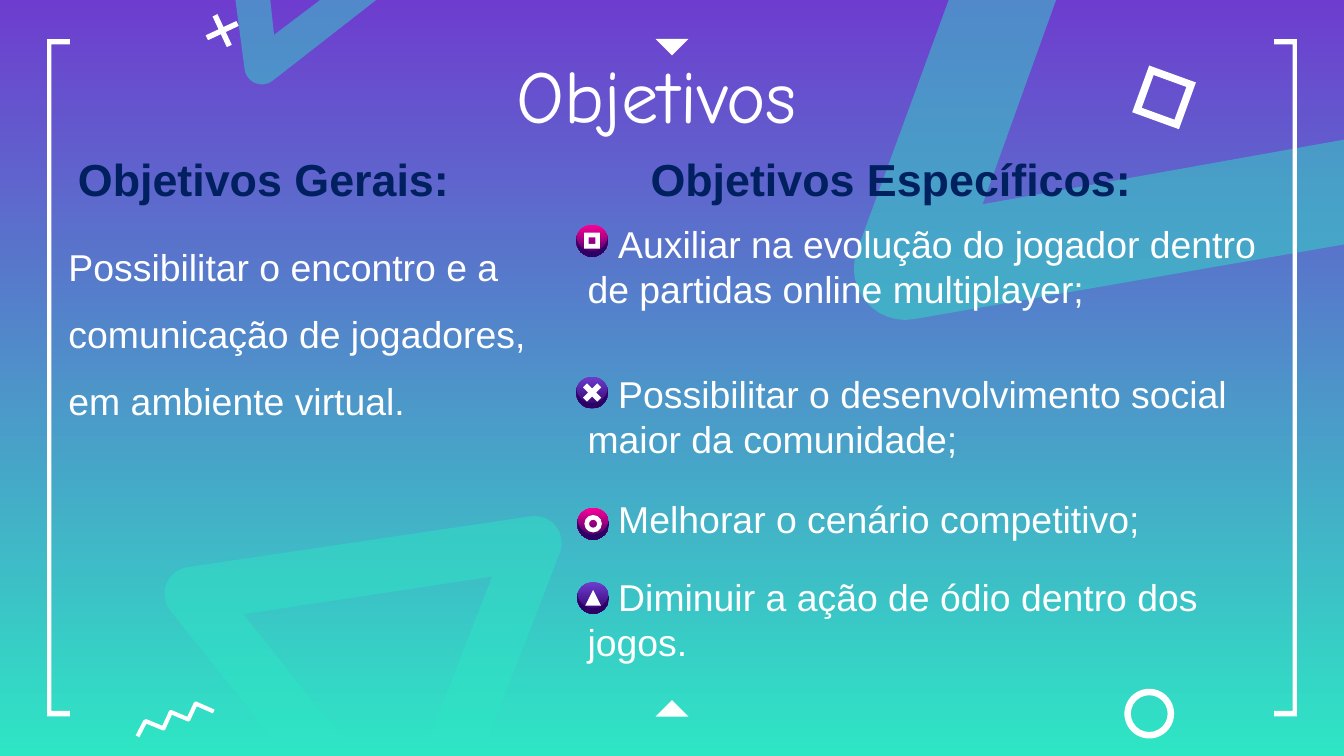
import math
from dataclasses import dataclass

from pptx import Presentation
from pptx import util as u
from pptx.dml.color import RGBColor
from pptx.enum import shapes, text
from pptx.oxml import ns, xmlchemy

WHITE = RGBColor(0xFF, 0xFF, 0xFF)
NAVY = RGBColor(0x00, 0x20, 0x60)
PURPLE = RGBColor(0x6E, 0x3D, 0xCF)
AQUA = RGBColor(0x2E, 0xE6, 0xC4)
PINK = RGBColor(0xFF, 0x00, 0x98)
DARK = RGBColor(0x2D, 0x00, 0x66)
WIDTH, HEIGHT = 25.4, 14.29
BADGE_RADIUS = 0.3
Preset = shapes.MSO_SHAPE


@dataclass
class Mark:
    """A white preset shape, placed by its centre (cm)."""
    kind: Preset
    x: float
    y: float
    width: float
    height: float
    turn: float = 0
    adjust: float | None = None


@dataclass
class Objective:
    wording: str
    space_before: float
    x: float
    y: float
    top_color: RGBColor
    glyph: Preset
    size: float
    turn: float = 0
    adjust: float | None = None


@dataclass
class TextStyle:
    size: float
    color: RGBColor = WHITE
    font: str = "Arial"
    bold: bool = False
    spacing: float | u.Pt = 1.0
    indent: float = 0
    align: text.PP_ALIGN = text.PP_ALIGN.LEFT


MARKS = [
    Mark(Preset.ISOSCELES_TRIANGLE, WIDTH / 2, 0.89, 0.62, 0.31, 180),
    Mark(Preset.ISOSCELES_TRIANGLE, WIDTH / 2, 13.39, 0.62, 0.31),
    Mark(Preset.FRAME, 22, 1.84, 0.94, 0.94, 20, 0.15),
    Mark(Preset.CROSS, 4.2, 0.58, 0.64, 0.64, 335, 0.42),
    Mark(Preset.DONUT, 21.72, 13.49, 0.94, 0.94, 0, 0.13),
]
OBJECTIVES = [
    Objective("Auxiliar na evolução do jogador dentro de partidas online multiplayer;",
              0, 11.19, 4.55, PINK, Preset.FRAME, 0.3, 0, 0.29),
    Objective("Possibilitar o desenvolvimento social maior da comunidade;",
              32, 11.19, 7.42, PURPLE, Preset.CROSS, 0.38, 45, 0.36),
    Objective("Melhorar o cenário competitivo;",
              19, 11.21, 9.9, PINK, Preset.DONUT, 0.33, 0, 0.27),
    Objective("Diminuir a ação de ódio dentro dos jogos.",
              18, 11.21, 11.3, PURPLE, Preset.ISOSCELES_TRIANGLE, 0.3),
]
# Corners are (x, y) or, when rounded, (x, y, radius)
GLASS_TRIANGLES = [
    [(2.67, 10.85, 0.51), (10.9, 9.63, 0.51), (9.09, HEIGHT), (7.98, HEIGHT),
     (9.3, 10.9), (4.6, 11.61), (6.73, HEIGHT), (5.41, HEIGHT)],
    [(17.93, 0), (15.62, 6.32, 0.97), (WIDTH, 4.62), (WIDTH, 2.64),
     (18.57, 3.86), (19.96, 0)],
    [(4.45, 0), (4.7, 1.88, 0.33), (7.11, 0), (6.05, 0), (5.18, 0.66), (5.11, 0)],
]
BRACKET = [(0.89, 0.74), (0.89, 13.54), (1.32, 13.54), (1.32, 13.44),
           (0.97, 13.44), (0.97, 0.84), (1.32, 0.84), (1.32, 0.74)]
ZIGZAG = [(2.6, 13.92), (2.75, 13.63), (3.09, 13.77), (3.23, 13.46),
          (3.56, 13.6), (3.7, 13.3), (4.04, 13.45)]


def round_corners(corners: list[tuple], steps: int = 12) -> list[tuple]:
    """Replace every corner that has a radius by points on a tangent arc."""
    points = []
    for i, (x, y, *radius) in enumerate(corners):
        if not radius:
            points.append((x, y))
            continue
        before, after = corners[i - 1], corners[(i + 1) % len(corners)]
        a = math.atan2(before[1] - y, before[0] - x)
        b = math.atan2(after[1] - y, after[0] - x)
        opening = math.remainder(b - a, math.tau)
        middle = a + opening / 2
        reach = radius[0] / math.sin(abs(opening) / 2)
        sweep = math.copysign(math.pi - abs(opening), opening)
        for step in range(steps + 1):
            angle = middle + math.pi + sweep * (0.5 - step / steps)
            points.append((x + reach * math.cos(middle) + radius[0] * math.cos(angle),
                           y + reach * math.sin(middle) + radius[0] * math.sin(angle)))
    return points


def paint(shape, color: RGBColor) -> None:
    shape.shadow.inherit = False
    shape.fill.solid()
    shape.fill.fore_color.rgb = color
    shape.line.fill.background()


def paint_gradient(fill, top: RGBColor, bottom: RGBColor) -> None:
    fill.gradient()
    fill.gradient_angle = 270
    for stop, color, position in zip(fill.gradient_stops, (top, bottom), (0, 1)):
        stop.color.rgb = color
        stop.position = position


def add_outline(page, points: list[tuple], color: RGBColor, close: bool = True):
    lengths = [(u.Cm(x), u.Cm(y)) for x, y in points]
    builder = page.shapes.build_freeform(*lengths[0])
    builder.add_line_segments(lengths[1:], close=close)
    shape = builder.convert_to_shape()
    paint(shape, color)
    return shape


def add_mark(page, mark: Mark):
    shape = page.shapes.add_shape(
        mark.kind, u.Cm(mark.x - mark.width / 2), u.Cm(mark.y - mark.height / 2),
        u.Cm(mark.width), u.Cm(mark.height))
    shape.rotation = mark.turn
    if mark.adjust is not None:
        shape.adjustments[0] = mark.adjust
    paint(shape, WHITE)
    return shape


def add_badge(page, item: Objective) -> None:
    side = 2 * BADGE_RADIUS
    disc = add_mark(page, Mark(Preset.OVAL, item.x, item.y, side, side))
    paint_gradient(disc.fill, item.top_color, DARK)
    angles = [math.pi * step / 16 for step in range(17)]
    lower = [(item.x + BADGE_RADIUS * math.cos(angle),
              item.y + BADGE_RADIUS * math.sin(angle)) for angle in angles]
    add_outline(page, lower + [(x, y - 0.1) for x, y in reversed(lower)], DARK)
    add_mark(page, Mark(item.glyph, item.x, item.y, item.size, item.size,
                        item.turn, item.adjust))


def fill_placeholder(box, area: tuple, lines: list[str], style: TextStyle) -> None:
    box.left, box.top, box.width, box.height = map(u.Cm, area)
    frame = box.text_frame
    frame.text = "\n".join(lines)
    frame.word_wrap = True
    frame.auto_size = text.MSO_AUTO_SIZE.NONE
    frame.vertical_anchor = text.MSO_ANCHOR.TOP
    for para in frame.paragraphs:
        properties = para._p.get_or_add_pPr()
        properties.set("marL", "0")
        properties.set("indent", str(u.Cm(style.indent)))
        properties.append(xmlchemy.OxmlElement("a:buNone"))
        para.alignment = style.align
        para.line_spacing = style.spacing
        para.space_before = u.Pt(0)
        for span in para.runs:
            span.font.size = u.Pt(style.size)
            span.font.name = style.font
            span.font.bold = style.bold
            span.font.color.rgb = style.color


def main() -> None:
    deck = Presentation()
    deck.slide_width, deck.slide_height = u.Cm(WIDTH), u.Cm(HEIGHT)
    page = deck.slides.add_slide(deck.slide_layouts.get_by_name("Comparison"))
    paint_gradient(page.background.fill, PURPLE, AQUA)
    boxes = {box.placeholder_format.idx: box for box in page.placeholders}
    for idx in set(boxes) - {0, 1, 2, 3, 4}:
        boxes[idx]._element.getparent().remove(boxes[idx]._element)

    # Translucent triangles
    for corners in GLASS_TRIANGLES:
        shape = add_outline(page, round_corners(corners), AQUA)
        color = shape._element.spPr.find(".//" + ns.qn("a:srgbClr"))
        alpha = xmlchemy.OxmlElement("a:alpha")
        alpha.set("val", "45000")
        color.append(alpha)

    # White frame and ornaments
    add_outline(page, BRACKET, WHITE)
    add_outline(page, [(WIDTH - x, y) for x, y in BRACKET], WHITE)
    for mark in MARKS:
        add_mark(page, mark)
    zigzag = add_outline(page, ZIGZAG, WHITE, close=False)
    zigzag.fill.background()
    zigzag.line.color.rgb = WHITE
    zigzag.line.width = u.Pt(2.25)

    # Title, headings and texts, in front of the ornaments
    heading = TextStyle(24, NAVY, bold=True)
    fill_placeholder(boxes[0], (3.94, 0.79, 16.94, 1.96), ["Objetivos"],
                     TextStyle(40, font="Comic Neue", align=text.PP_ALIGN.CENTER))
    fill_placeholder(boxes[1], (1.22, 2.74, 9.27, 1.27), ["Objetivos Gerais:"], heading)
    fill_placeholder(boxes[2], (1.04, 4.06, 9.2, 3.94),
                     ["Possibilitar o encontro e a comunicação de jogadores, "
                      "em ambiente virtual."], TextStyle(20, spacing=1.5))
    fill_placeholder(boxes[3], (12.04, 2.74, 10.11, 1.27), ["Objetivos Específicos:"],
                     heading)
    fill_placeholder(boxes[4], (10.85, 4.06, 13.3, 8.64),
                     [item.wording for item in OBJECTIVES],
                     TextStyle(20, spacing=u.Pt(24), indent=0.58))
    for idx in range(5):
        page.shapes._spTree.append(boxes[idx]._element)

    # Spacing and badge of each objective
    for para, item in zip(boxes[4].text_frame.paragraphs, OBJECTIVES):
        para.space_before = u.Pt(item.space_before)
        add_badge(page, item)

    deck.save("out.pptx")


if __name__ == "__main__":
    main()
